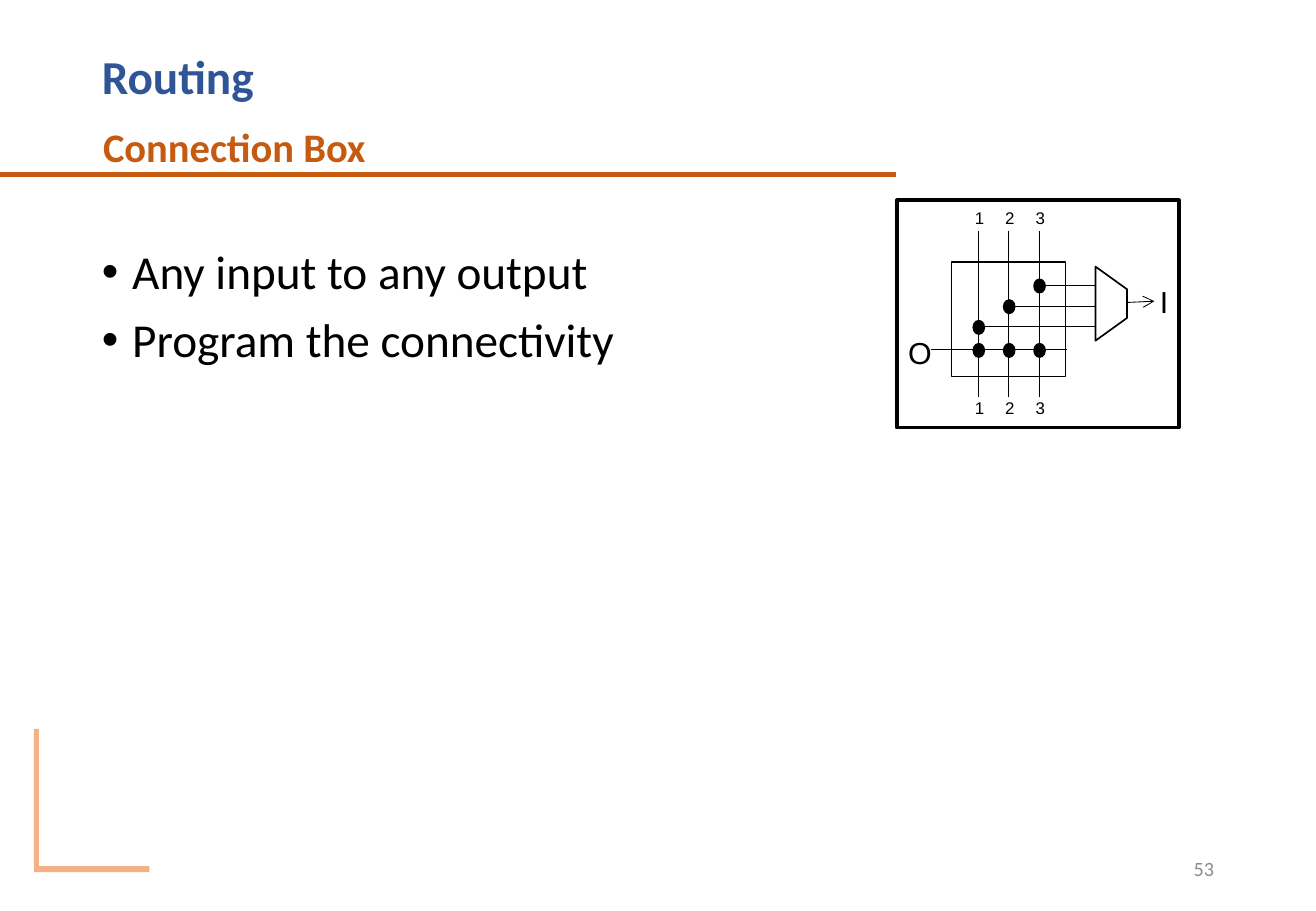
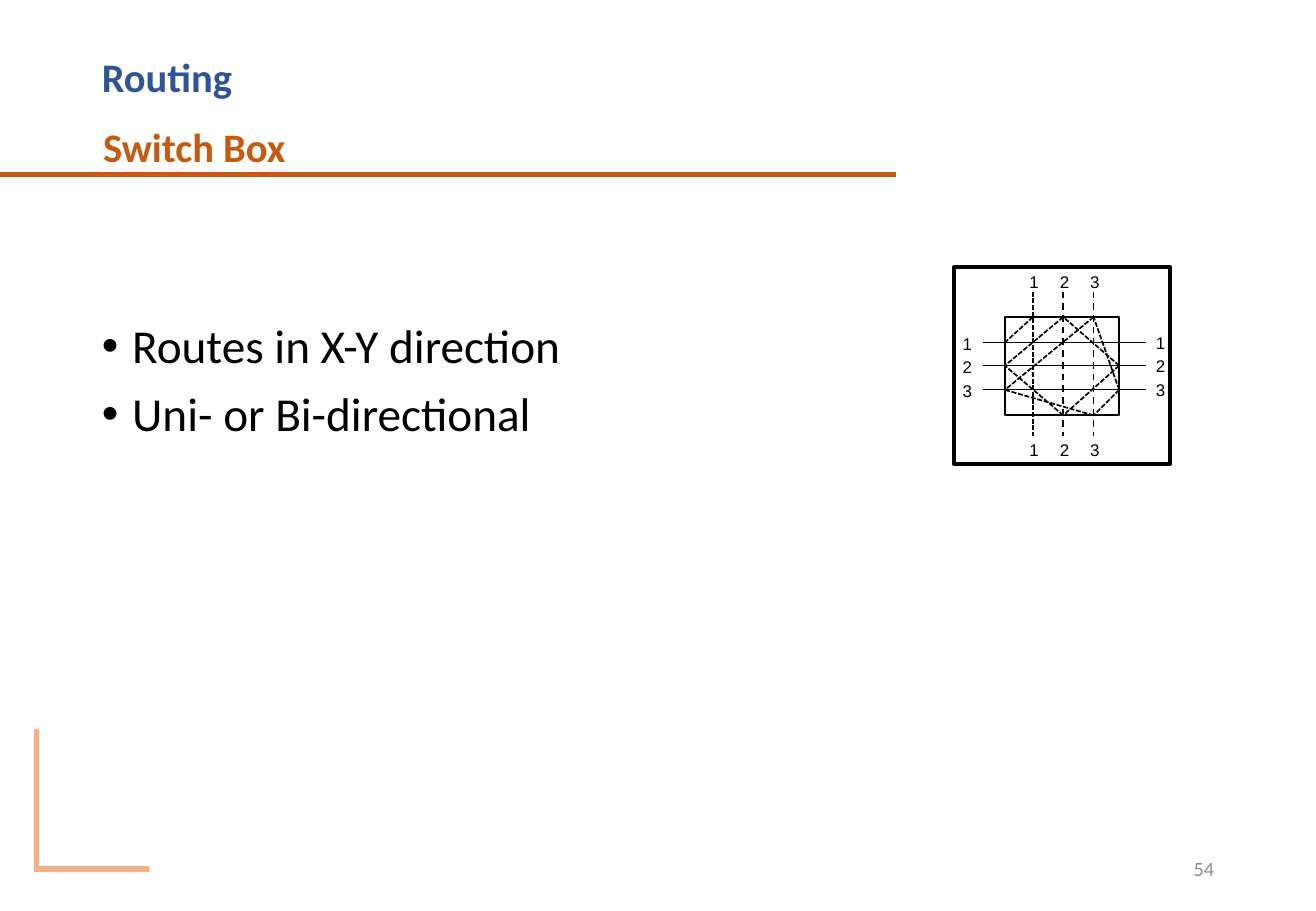
from lxml import etree
from pptx import Presentation
from pptx.dml.color import RGBColor
from pptx.enum.dml import MSO_LINE
from pptx.enum.shapes import MSO_CONNECTOR, MSO_SHAPE
from pptx.enum.text import MSO_ANCHOR, PP_ALIGN
from pptx.oxml.ns import qn
from pptx.util import Pt

PX = 9144  # EMU; 100 px to the inch
INK = {"title": "2F5597", "rust": "C55A11", "peach": "F4B183",
       "black": "000000", "white": "FFFFFF", "grey": "8C8C8C"}
SANS, PLAIN = "Calibri", "Arial"
RECT, OVAL, TRAP = MSO_SHAPE.RECTANGLE, MSO_SHAPE.OVAL, MSO_SHAPE.TRAPEZOID
DASH, SHORT = MSO_LINE.DASH, MSO_LINE.SQUARE_DOT
TOP, MID = MSO_ANCHOR.TOP, MSO_ANCHOR.MIDDLE
LEFT, MIDST, RIGHT = PP_ALIGN.LEFT, PP_ALIGN.CENTER, PP_ALIGN.RIGHT


def tint(name):
    return RGBColor.from_string(INK[name])


def emu(*vals):
    return [round(v * PX) for v in vals]


def shape(slide, kind, box, fill=None, width=0):
    """Add a preset shape; no fill name means hollow, zero width no outline."""
    part = slide.shapes.add_shape(kind, *emu(*box))
    part.shadow.inherit = False
    if fill:
        part.fill.solid()
        part.fill.fore_color.rgb = tint(fill)
    else:
        part.fill.background()
    if width:
        part.line.color.rgb = tint("black")
        part.line.width = Pt(width)
    else:
        part.line.fill.background()
    return part


def line(slide, start, end, width=0.5, ink="black", dash=None, arrow=False):
    wire = slide.shapes.add_connector(MSO_CONNECTOR.STRAIGHT,
                                      *emu(*start, *end))
    wire.line.color.rgb = tint(ink)
    wire.line.width = Pt(width)
    if dash:
        wire.line.dash_style = dash
    if arrow:
        tip = etree.SubElement(wire.line._get_or_add_ln(), qn("a:tailEnd"))
        tip.set("type", "arrow")
    etree.SubElement(wire._element.spPr, qn("a:effectLst"))


def text(slide, box, rows, size, ink="black", face=SANS, bold=False,
         align=LEFT, anchor=TOP, lead=None, before=0):
    """Add a text box with one paragraph per row and return its frame."""
    frame = slide.shapes.add_textbox(*emu(*box)).text_frame
    frame.word_wrap = True
    frame.vertical_anchor = anchor
    frame.text = "\n".join(rows)
    for para in frame.paragraphs:
        para.alignment = align
        para.line_spacing = lead
        para.space_before = Pt(before)
        font = para.font
        font.name, font.size, font.bold = face, Pt(size), bold
        font.color.rgb = tint(ink)
    return frame


def label(slide, x, y, word, size=10):
    """Centre a short diagram label on a point."""
    frame = text(slide, (x - 14, y - 20, 28, 40), [word], size, face=PLAIN,
                 align=MIDST, anchor=MID)
    frame.margin_left = frame.margin_right = 0
    frame.word_wrap = False


def bullets(slide, box, rows):
    frame = text(slide, box, rows, 28, lead=0.9, before=10)
    for para in frame.paragraphs:
        props = para._p.get_or_add_pPr()
        props.set("marL", str(25 * PX))
        props.set("indent", str(-25 * PX))
        face = etree.SubElement(props, qn("a:buFont"))
        face.set("typeface", PLAIN)
        mark = etree.SubElement(props, qn("a:buChar"))
        mark.set("char", "•")
        # the schema wants bullets ahead of the default run style
        style = props.find(qn("a:defRPr"))
        if style is not None:
            props.append(style)


def base(prs, size, head, rows, top, page):
    """Add a slide with corner, rule, headings, bullets and page number."""
    slide = prs.slides.add_slide(prs.slide_layouts[6])
    shape(slide, RECT, (28, 713, 95, 5), "peach")
    shape(slide, RECT, (28, 600, 4, 117), "peach")
    line(slide, (-1, 144), (737, 144), 3, "rust")
    text(slide, (74, 34, 738, 62), ["Routing"], size, "title", bold=True,
         anchor=MID, lead=0.9)
    text(slide, (75, 100, 597, 64), [head], 24, "rust", bold=True,
         lead=0.9, before=10)
    bullets(slide, (74, top, 934, 676 - top), rows)
    text(slide, (765, 695, 244, 40), [str(page)], 12, "grey", align=RIGHT,
         anchor=MID)
    return slide


def joint(slide, box):
    """Draw the connection box: three tracks tapped into a multiplexer."""
    left, top, wide, high = box

    def at(x, y):
        return left + x, top + y

    shape(slide, RECT, box, width=2.25)
    shape(slide, RECT, (*at(45, 51), 94, 94), width=1)
    cols = [67 + 25 * i for i in range(3)]
    out = 123
    line(slide, at(28, out), at(140, out))
    for i, x in enumerate(cols):
        tap = 104 - 17 * i
        line(slide, at(x, 25), at(x, high - 25))
        line(slide, at(x, tap), at(180, tap))
        for y in (tap, out):
            shape(slide, OVAL, (*at(x - 4, y - 5), 9, 11), "black", 1)
        for y in (14, high - 16):
            label(slide, *at(x + 1, y), str(i + 1))
    mux = shape(slide, TRAP, (*at(146, 72), 61, 26), "white", 1)
    mux.rotation = 90
    mux.adjustments[0] = 0.72
    line(slide, at(190, 84), at(wide - 20, 83), arrow=True)
    label(slide, *at(220, 83), "I", 18)
    label(slide, *at(19, 125), "O", 18)


def switch(slide, box):
    """Draw the switch box: crossing tracks with diagonal links."""
    left, top, wide, high = box

    def at(x, y):
        return left + x, top + y

    shape(slide, RECT, (*at(42, 41), 94, 81), width=1)
    cols, rows = (65, 90, 115), (62, 81, 101)
    for i, (x, y) in enumerate(zip(cols, rows)):
        word = str(i + 1)
        line(slide, at(x, 20), at(x, 139), 1, dash=DASH if i else SHORT)
        line(slide, at(24, y), at(158, y))
        for spot in ((x + 1, 12), (x + 1, high - 12),
                     (11, y + 1), (wide - 8, y)):
            label(slide, *at(*spot), word)
        north, south, west, east = (x, 41), (x, 122), (42, y), (136, y)
        links = [(north, west)]
        if i:
            links += [(east, south), (south, west), (east, north)]
        for start, end in links:
            line(slide, at(*start), at(*end), 1, dash=SHORT)
    shape(slide, RECT, box, width=2.25)


def main():
    prs = Presentation()
    prs.slide_width, prs.slide_height = emu(1083, 750)
    slide = base(prs, 28, "Connection Box",
                 ["Any input to any output", "Program the connectivity"],
                 200, 53)
    joint(slide, (738, 165, 232, 187))
    slide = base(prs, 24, "Switch Box",
                 ["Routes in X-Y direction", "Uni- or Bi-directional"],
                 261, 54)
    switch(slide, (785, 220, 178, 162))
    prs.save("out.pptx")


if __name__ == "__main__":
    main()
